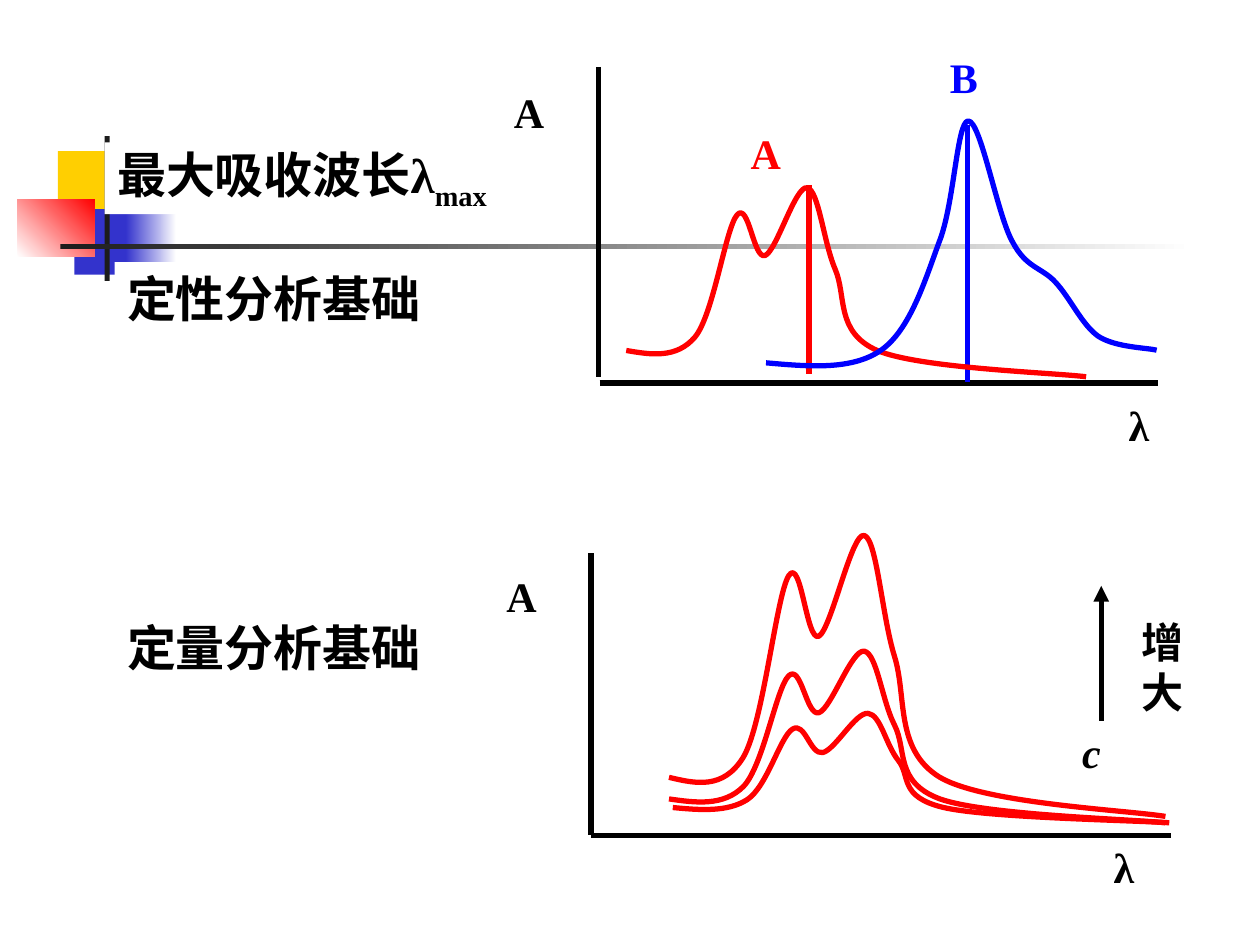
from dataclasses import dataclass
from typing import Optional

from lxml import etree
from pptx import Presentation
from pptx.dml.color import RGBColor
from pptx.enum.shapes import MSO_CONNECTOR, MSO_SHAPE
from pptx.enum.text import MSO_ANCHOR, MSO_AUTO_SIZE, PP_ALIGN
from pptx.oxml.ns import qn
from pptx.util import Inches, Pt

RECTANGLE = MSO_SHAPE.RECTANGLE
STRAIGHT = MSO_CONNECTOR.STRAIGHT
TOP, MIDDLE = MSO_ANCHOR.TOP, MSO_ANCHOR.MIDDLE
FIXED_SIZE = MSO_AUTO_SIZE.NONE
LEFT = PP_ALIGN.LEFT

BLACK = RGBColor(0x00, 0x00, 0x00)
WHITE = RGBColor(0xFF, 0xFF, 0xFF)
RED = RGBColor(0xFF, 0x00, 0x00)
BLUE = RGBColor(0x00, 0x00, 0xFF)
YELLOW = RGBColor(0xFF, 0xCF, 0x01)
INDIGO = RGBColor(0x33, 0x33, 0xCC)
CHARCOAL = RGBColor(0x1C, 0x1C, 0x1C)

FONT = "Times New Roman"
LINE_WIDTH = Pt(3)


@dataclass(frozen=True)
class Block:
    box: tuple
    start: RGBColor
    end: Optional[RGBColor] = None
    angle: int = 0


@dataclass(frozen=True)
class Segment:
    begin: tuple
    end: tuple
    color: RGBColor = BLACK
    arrow: bool = False


@dataclass(frozen=True)
class Spectrum:
    box: tuple
    profile: list
    color: RGBColor = RED


@dataclass(frozen=True)
class Label:
    text: str
    box: tuple
    color: RGBColor = BLACK
    italic: bool = False


@dataclass(frozen=True)
class Heading:
    text: str
    left: float
    top: float
    filled: bool = True


# Each profile is a start point followed by triples of Bézier points.
DOUBLE_PEAK = [
    (0, 1.95), (0.21, 2), (0.43, 2.05), (0.59, 1.79), (0.75, 1.52), (0.85, 0.51),
    (0.95, 0.35), (1.05, 0.19), (1.09, 0.88), (1.19, 0.83), (1.29, 0.77), (1.45, 0),
    (1.55, 0.03), (1.65, 0.06), (1.69, 0.67), (1.79, 0.99), (1.89, 1.31), (1.79, 1.73),
    (2.15, 1.95), (2.51, 2.16), (3.64, 2.21), (3.94, 2.26),
]
SINGLE_PEAK = [
    (0, 1.92), (0.34, 1.95), (0.68, 1.98), (0.91, 1.82), (1.14, 1.66), (1.26, 1.26),
    (1.37, 0.96), (1.49, 0.66), (1.51, 0), (1.6, 0), (1.7, 0), (1.83, 0.75),
    (1.95, 0.96), (2.06, 1.17), (2.18, 1.16), (2.29, 1.28), (2.41, 1.41), (2.5, 1.62),
    (2.63, 1.71), (2.77, 1.8), (3.02, 1.8), (3.09, 1.82),
]

BLOCKS = [
    Block((0.46, 1.2, 0.48, 0.52), YELLOW),
    Block((0.88, 1.2, 0.36, 0.52), YELLOW, WHITE),
    Block((0.59, 1.66, 0.46, 0.52), INDIGO),
    Block((1, 1.66, 0.4, 0.52), INDIGO, WHITE),
    Block((0.14, 1.58, 0.61, 0.46), WHITE, RED, 45),
    Block((0.83, 1.08, 0.04, 1.15), CHARCOAL),
    Block((0.48, 1.94, 9, 0.04), CHARCOAL, WHITE),
]
SEGMENTS = [
    Segment((4.76, 3.04), (9.19, 3.04)),
    Segment((4.75, 0.53), (4.75, 2.99)),
    Segment((6.42, 1.47), (6.42, 2.97), RED),
    Segment((7.68, 0.99), (7.68, 3.03), BLUE),
    Segment((4.69, 4.39), (4.69, 6.63)),
    Segment((4.69, 6.63), (9.29, 6.63)),
    Segment((8.74, 5.72), (8.74, 4.65), arrow=True),
]
SPECTRA = [
    Spectrum((4.97, 1.47, 3.65, 1.52), DOUBLE_PEAK),
    Spectrum((6.08, 0.96, 3.1, 1.98), SINGLE_PEAK, BLUE),
    Spectrum((5.31, 5.15, 3.94, 1.38), DOUBLE_PEAK),
    Spectrum((5.31, 4.22, 3.94, 2.26), DOUBLE_PEAK),
    Spectrum((5.34, 5.65, 3.94, 0.88), DOUBLE_PEAK),
]
LABELS = [
    Label("A", (5.86, 0.96, 0.99, 0.5), RED),
    Label("B", (7.44, 0.36, 1.11, 0.5), BLUE),
    Label("A", (3.98, 0.64, 0.55, 0.5)),
    Label("λ", (8.86, 3.12, 0.88, 0.5)),
    Label("A", (3.92, 4.48, 0.55, 0.5)),
    Label("λ", (8.74, 6.63, 0.88, 0.5)),
    Label("c", (8.49, 5.72, 0.8, 0.5), italic=True),
    Label("增大", (8.96, 4.84, 0.77, 0.9)),
]
TITLE = Heading("最大吸收波长λ", 0.83, 1.13)
HEADINGS = [
    Heading("定性分析基础", 0.91, 2.08),
    Heading("定量分析基础", 0.91, 4.85, filled=False),
]


def inches(values) -> list:
    return [Inches(value) for value in values]


def draw_block(shapes, block: Block) -> None:
    shape = shapes.add_shape(RECTANGLE, *inches(block.box))
    shape.shadow.inherit = False
    shape.line.fill.background()
    if block.end is None:
        shape.fill.solid()
        shape.fill.fore_color.rgb = block.start
        return
    shape.fill.gradient()
    shape.fill.gradient_angle = block.angle
    for stop, color in zip(shape.fill.gradient_stops, (block.start, block.end)):
        stop.color.rgb = color


def style_line(line, color: RGBColor) -> None:
    line.color.rgb = color
    line.width = LINE_WIDTH


def draw_segment(shapes, segment: Segment) -> None:
    connector = shapes.add_connector(STRAIGHT, *inches(segment.begin + segment.end))
    style_line(connector.line, segment.color)
    properties = connector._element.spPr
    if segment.arrow:
        etree.SubElement(properties.find(qn("a:ln")), qn("a:tailEnd"), type="triangle")
    etree.SubElement(properties, qn("a:effectLst"))


def draw_spectrum(shapes, spectrum: Spectrum) -> None:
    """Fit the profile to the box and turn its point triples into smooth curves."""
    left, top, width, height = spectrum.box
    x_scale = width / max(x for x, _ in spectrum.profile)
    y_scale = height / max(y for _, y in spectrum.profile)
    points = [tuple(inches((left + x * x_scale, top + y * y_scale)))
              for x, y in spectrum.profile]
    builder = shapes.build_freeform(*points[0])
    builder.add_line_segments(points[1:], close=False)
    shape = builder.convert_to_shape()
    shape.shadow.inherit = False
    shape.fill.background()
    style_line(shape.line, spectrum.color)

    path = next(shape._element.iter(qn("a:path")))
    steps = path.findall(qn("a:lnTo"))
    for first in range(0, len(steps), 3):
        curve = etree.SubElement(path, qn("a:cubicBezTo"))
        for step in steps[first:first + 3]:
            curve.append(step[0])
            path.remove(step)


def write_text(shape, text: str, size: int, color: RGBColor, anchor, italic=False):
    frame = shape.text_frame
    settings = {"word_wrap": True, "auto_size": FIXED_SIZE, "vertical_anchor": anchor}
    for attribute, value in settings.items():
        setattr(frame, attribute, value)
    paragraph = frame.paragraphs[0]
    paragraph.alignment = LEFT
    run = paragraph.add_run()
    run.text = text
    style_run(run, size, color, italic)
    return paragraph


def style_run(run, size: int, color: RGBColor, italic: bool = False) -> None:
    values = {"name": FONT, "size": Pt(size), "bold": True, "italic": italic}
    for attribute, value in values.items():
        setattr(run.font, attribute, value)
    run.font.color.rgb = color


def fill_heading(shape, heading: Heading):
    box = {"left": heading.left, "top": heading.top, "width": 3.62, "height": 0.57}
    for attribute, value in box.items():
        setattr(shape, attribute, Inches(value))
    if heading.filled:
        shape.fill.solid()
        shape.fill.fore_color.rgb = WHITE
    return write_text(shape, heading.text, 28, BLACK, MIDDLE)


def main() -> None:
    presentation = Presentation()
    presentation.slide_width, presentation.slide_height = inches((10, 7.5))
    shapes = presentation.slides.add_slide(presentation.slide_layouts[5]).shapes
    for block in BLOCKS:
        draw_block(shapes, block)

    title = shapes.title
    shapes.element.append(title.element)  # in front of the corner blocks
    subscript = fill_heading(title, TITLE).add_run()
    subscript.text = "max"
    style_run(subscript, 28, BLACK)
    subscript.font._element.set("baseline", "-25000")
    for heading in HEADINGS:
        fill_heading(shapes.add_textbox(0, 0, 0, 0), heading)

    for segment in SEGMENTS:
        draw_segment(shapes, segment)
    for spectrum in SPECTRA:
        draw_spectrum(shapes, spectrum)
    for label in LABELS:
        box = shapes.add_textbox(*inches(label.box))
        write_text(box, label.text, 24, label.color, TOP, label.italic)
    presentation.save("out.pptx")


if __name__ == "__main__":
    main()
